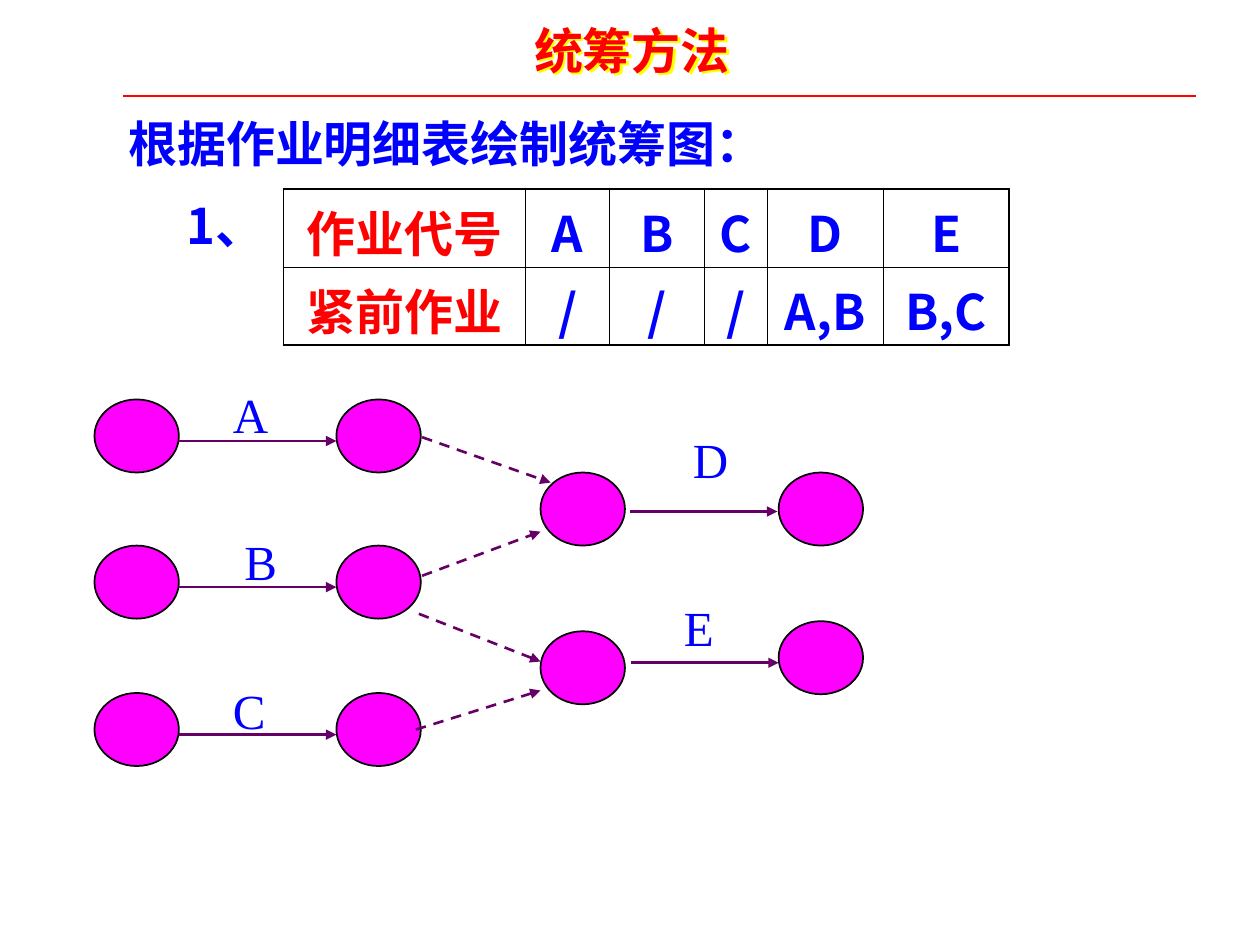
from pptx import Presentation
from pptx.dml.color import RGBColor
from pptx.enum.dml import MSO_LINE_DASH_STYLE as DASH
from pptx.enum.shapes import MSO_CONNECTOR as CONNECTOR, MSO_SHAPE as SHAPE
from pptx.enum.text import MSO_ANCHOR as ANCHOR, PP_ALIGN as ALIGN
from pptx.oxml.ns import qn
from pptx.util import Inches, Pt
from lxml.etree import SubElement

SANS, SERIF = "Noto Sans CJK SC", "Times New Roman"
RED, BLUE, BLACK = "FF0000", "0000FF", "000000"
PURPLE, MAGENTA, YELLOW = "660066", "FF00FF", "FFFF00"


def rgb(code):
    return RGBColor.from_string(code)


def write(frame, text, font=SANS, size=28, color=BLUE, bold=False, align=ALIGN.LEFT):
    frame.word_wrap = True
    paragraph = frame.paragraphs[0]
    paragraph.alignment = align
    run = paragraph.add_run()
    run.text = text
    run.font.name, run.font.size, run.font.bold = font, Pt(size), bold
    run.font.color.rgb = rgb(color)
    SubElement(run.font._element, qn("a:ea"), typeface=SANS)


class NetworkSlide:
    """Draws the elements of a project network in one style on one slide."""

    def __init__(self, deck):
        self.shapes = deck.slides.add_slide(deck.slide_layouts[6]).shapes
        self.node_size = Inches(0.67), Inches(0.58)

    def text(self, left, top, width, words, **style):
        box = self.shapes.add_textbox(Inches(left), Inches(top), Inches(width), Inches(0.57))
        write(box.text_frame, words, **style)
        return box

    def title(self, left, top, width, words):
        box = self.text(left, top, width, words, color=RED, bold=True)
        effects = SubElement(box._element.spPr, qn("a:effectLst"))
        shadow = SubElement(effects, qn("a:outerShdw"), dist=str(Pt(2)), dir="2700000", algn="ctr")
        SubElement(shadow, qn("a:srgbClr"), val=YELLOW)

    def node(self, left, top):
        circle = self.shapes.add_shape(SHAPE.OVAL, Inches(left), Inches(top), *self.node_size)
        circle.shadow.inherit = False
        circle.fill.solid()
        circle.fill.fore_color.rgb = rgb(MAGENTA)
        circle.line.color.rgb = rgb(BLACK)
        circle.line.width = Pt(1)

    def line(self, start, end, color=PURPLE, width=1.5, dashed=False, arrow=None):
        points = [Inches(value) for value in (*start, *end)]
        link = self.shapes.add_connector(CONNECTOR.STRAIGHT, *points)
        link.line.color.rgb = rgb(color)
        link.line.width = Pt(width)
        if dashed:
            link.line.dash_style = DASH.DASH
        if arrow:
            SubElement(link.line._get_or_add_ln(), qn(f"a:{arrow}"), type="triangle")
        SubElement(link._element.spPr, qn("a:effectLst"))

    def border(self, cell, side, width):
        edge = SubElement(cell._tc.get_or_add_tcPr(), qn(f"a:ln{side}"), w=str(Pt(width)))
        SubElement(SubElement(edge, qn("a:solidFill")), qn("a:srgbClr"), val=BLACK)

    def table(self, left, top, widths, row_height, rows):
        last_row, last_col = len(rows) - 1, len(widths) - 1
        grid = self.shapes.add_table(
            len(rows), len(widths), Inches(left), Inches(top),
            Inches(sum(widths)), Inches(row_height * len(rows))).table
        grid.first_row = grid.horz_banding = False
        for column, width in zip(grid.columns, widths):
            column.width = Inches(width)
        for r, row in enumerate(rows):
            grid.rows[r].height = Inches(row_height)
            for c, words in enumerate(row):
                cell = grid.cell(r, c)
                outer = {"L": c == 0, "R": c == last_col, "T": r == 0, "B": r == last_row}
                for side, is_outer in outer.items():
                    self.border(cell, side, 1.08 if is_outer else 0.45)
                cell.fill.background()
                cell.vertical_anchor = ANCHOR.MIDDLE
                write(cell.text_frame, words, bold=True, align=ALIGN.CENTER,
                      color=BLUE if c else RED)


def main():
    deck = Presentation()
    deck.slide_width, deck.slide_height = Inches(10), Inches(7.5)
    slide = NetworkSlide(deck)

    slide.title(4.14, 0.11, 1.95, "统筹方法")
    slide.line((0.98, 0.76), (9.49, 0.76), color=RED, width=1)
    slide.text(0.92, 0.85, 6.77, "根据作业明细表绘制统筹图：", font=SERIF, bold=True)
    slide.table(2.25, 1.5, [1.92, 0.67, 0.75, 0.5, 0.92, 1], 0.62, [
        ["作业代号", "A", "B", "C", "D", "E"],
        ["紧前作业", "/", "/", "/", "A,B", "B,C"],
    ])
    slide.text(1.38, 1.5, 1.1, "1、", bold=True)

    start_tops = [3.17, 4.33, 5.5]
    nodes = [(left, top) for left in (0.75, 2.67) for top in start_tops]
    nodes += [(4.29, 3.75), (4.29, 5.01), (6.18, 3.75), (6.18, 4.93)]
    for left, top in nodes:
        slide.node(left, top)

    activities = [((1.42, top + 0.33), (2.67, top + 0.33)) for top in start_tops]
    activities += [((5, 4.06), (6.17, 4.06)), ((5.01, 5.26), (6.18, 5.26))]
    for start, end in activities:
        slide.line(start, end, arrow="tailEnd")

    dummies = [
        ((3.35, 3.47), (4.37, 3.83), "tailEnd"),
        ((3.35, 4.57), (4.29, 4.22), "tailEnd"),
        ((4.29, 5.25), (3.27, 4.85), "headEnd"),
        ((4.29, 5.48), (3.27, 5.8), "headEnd"),
    ]
    for start, end, arrow in dummies:
        slide.line(start, end, dashed=True, arrow=arrow)

    labels = [("A", 1.75, 3), ("B", 1.84, 4.17), ("C", 1.75, 5.35),
              ("D", 5.4, 3.36), ("E", 5.33, 4.69)]
    for name, left, top in labels:
        slide.text(left, top, 0.48, name, font=SERIF)

    deck.save("out.pptx")


if __name__ == "__main__":
    main()
